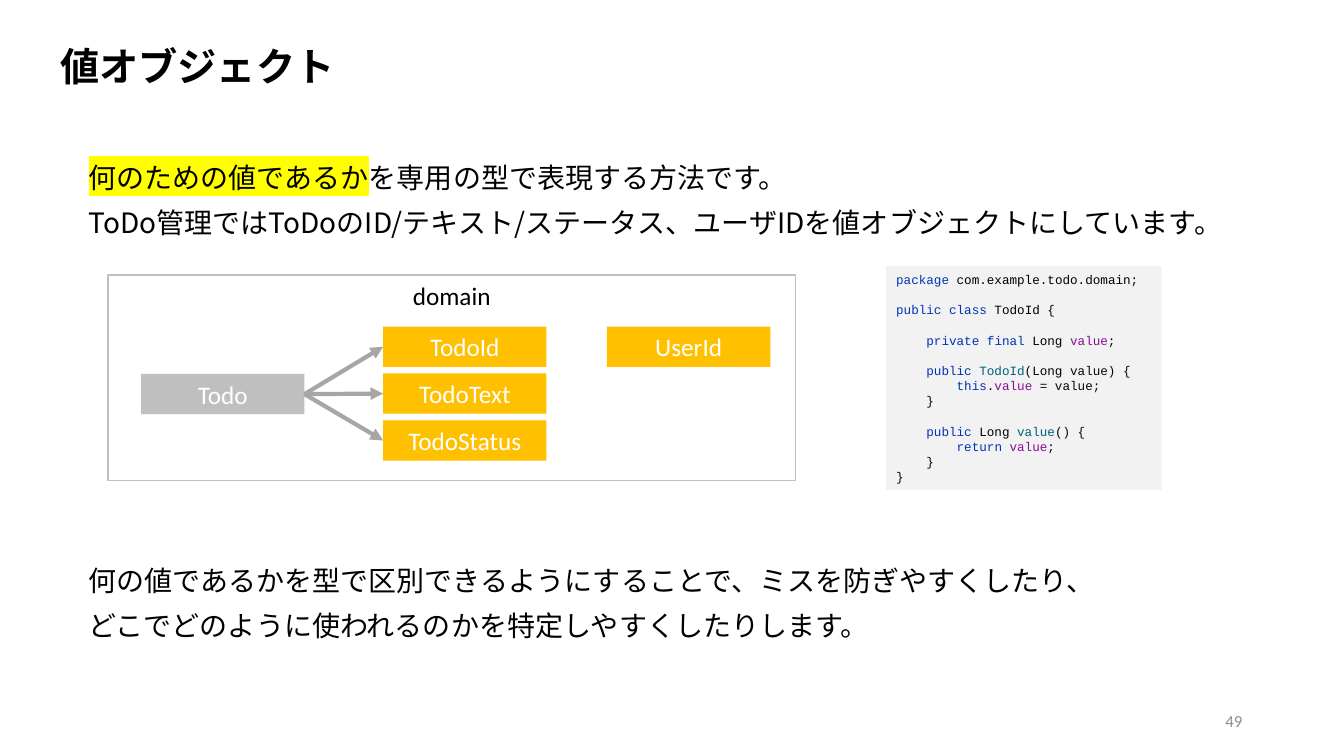
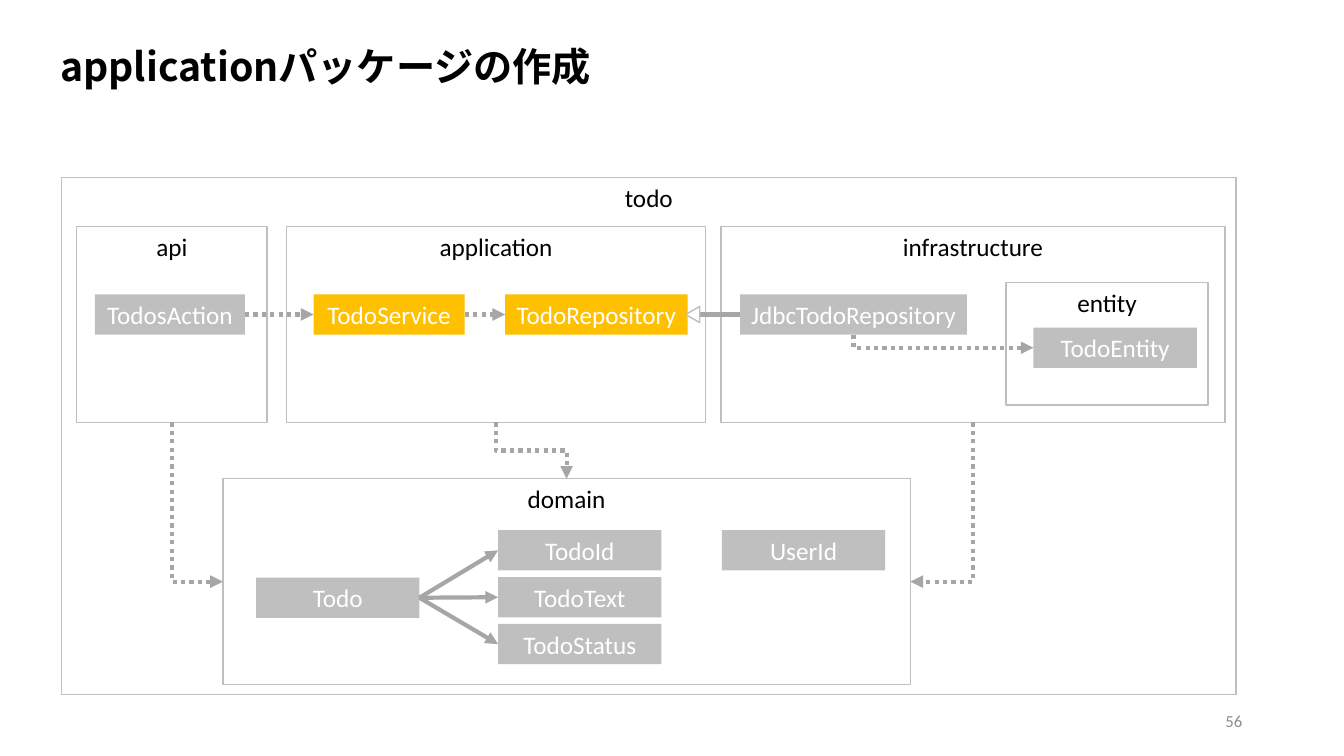
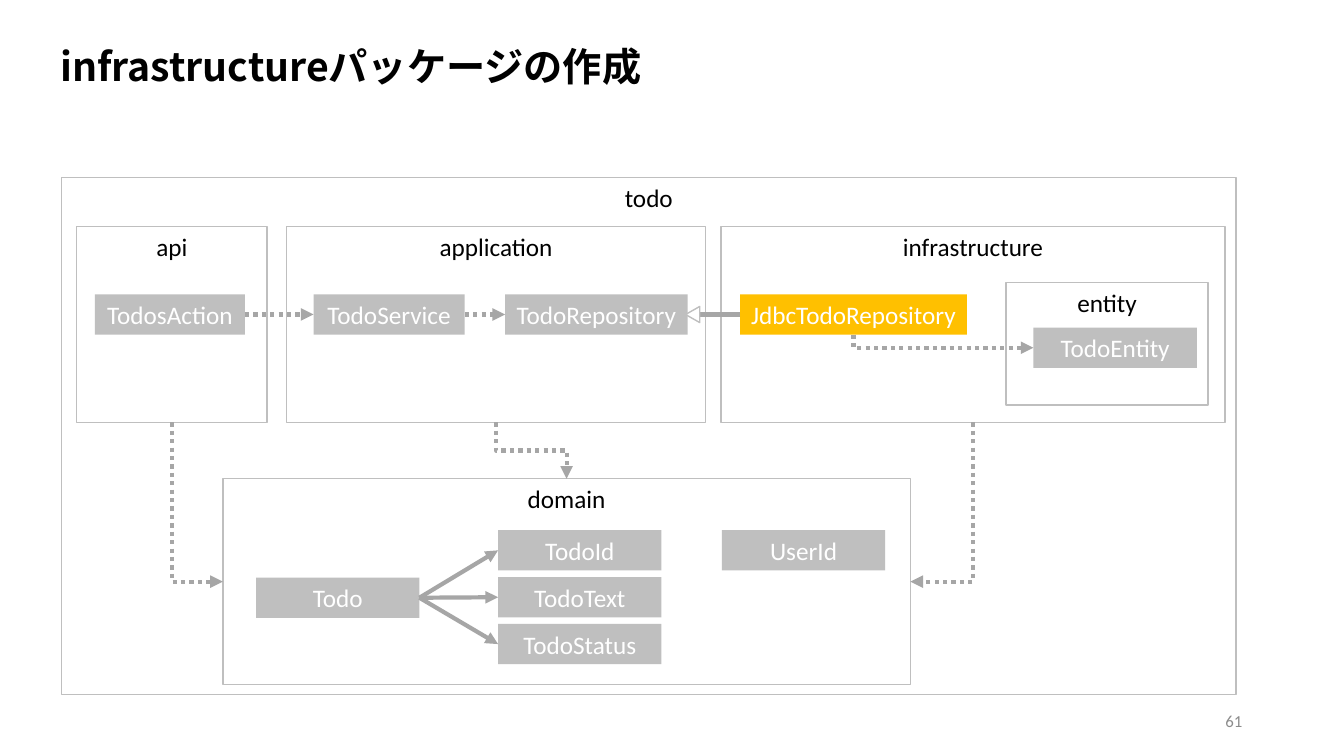
from dataclasses import dataclass

from lxml import etree
from pptx import Presentation
from pptx.dml.color import RGBColor
from pptx.enum.dml import MSO_LINE
from pptx.enum.shapes import MSO_CONNECTOR, MSO_SHAPE
from pptx.enum.text import MSO_ANCHOR, PP_ALIGN
from pptx.oxml.ns import qn
from pptx.util import Inches, Pt

RECT, TRIANGLE = MSO_SHAPE.RECTANGLE, MSO_SHAPE.ISOSCELES_TRIANGLE
STRAIGHT, ELBOW = MSO_CONNECTOR.STRAIGHT, MSO_CONNECTOR.ELBOW
LEFT, CENTER, RIGHT = PP_ALIGN.LEFT, PP_ALIGN.CENTER, PP_ALIGN.RIGHT
TOP, MIDDLE = MSO_ANCHOR.TOP, MSO_ANCHOR.MIDDLE
DOTS = MSO_LINE.ROUND_DOT
WEST, SOUTH, EAST, NORTH = 1, 2, 3, 0


@dataclass(frozen=True)
class Theme:
    black: str = "000000"
    white: str = "FFFFFF"
    gray: str = "BFBFBF"
    arrow: str = "A6A6A6"
    gold: str = "FFC000"
    mark: str = "FFFF00"
    panel: str = "F2F2F2"
    muted: str = "8C8C8C"
    word: str = "0033B3"
    sign: str = "080808"
    field: str = "871094"
    call: str = "00627A"
    sans: str = "Calibri"
    kana: str = "Noto Sans CJK JP"
    mono: str = "Courier New"
    head: int = 28
    body: int = 20
    label: int = 18
    page: int = 12
    code: int = 9
    lead: int = 32


T = Theme()
TITLE = {"name": T.kana, "size": Pt(T.head), "bold": True, "color": T.black}
BODY = {"name": T.kana, "size": Pt(T.body), "color": T.black}
PAGE = {"name": T.sans, "size": Pt(T.page), "color": T.muted}
LABEL = {"name": T.sans, "size": Pt(T.label), "color": T.black}
NODE = {**LABEL, "color": T.white}
CODE = {"name": T.mono, "size": Pt(T.code)}

KINDS = {"k": T.word, "n": T.black, "s": T.sign, "f": T.field, "c": T.call}
SOURCE = (
    (("k", "package "), ("n", "com.example.todo.domain"), ("s", ";")),
    (),
    (("k", "public class "), ("n", "TodoId "), ("s", "{")),
    (),
    (("k", "    private final "), ("n", "Long "), ("f", "value"), ("s", ";")),
    (),
    (("k", "    public "), ("c", "TodoId"), ("s", "("), ("n", "Long "), ("s", "value) {")),
    (("k", "        this"), ("s", "."), ("f", "value "), ("s", "= value;")),
    (("s", "    }"),),
    (),
    (("k", "    public "), ("n", "Long "), ("c", "value"), ("s", "() {")),
    (("k", "        return "), ("f", "value"), ("s", ";")),
    (("s", "    }"),),
    (("s", "}"),),
)

PROSE = (
    (0, (("何のための値であるか", T.mark), ("を専用の型で表現する方法です。", None))),
    (0, (("ToDo管理ではToDoのID/テキスト/ステータス、ユーザIDを値オブジェクトにしています。", None),)),
    (7, (("何の値であるかを型で区別できるようにすることで、ミスを防ぎやすくしたり、", None),)),
    (0, (("どこでどのように使われるのかを特定しやすくしたりします。", None),)),
)

FRAMES = (
    ("api", 0.15, 0.49, 1.89, 1.94),
    ("application", 2.23, 0.49, 4.16, 1.94),
    ("infrastructure", 6.54, 0.49, 5, 1.94),
    ("entity", 9.37, 1.04, 2, 1.22),
)
PARTS = (
    ("TodosAction", 0.33, 1.16, 1.49),
    ("TodoService", 2.5, 1.16, 1.5),
    ("TodoRepository", 4.4, 1.16, 1.81),
    ("JdbcTodoRepository", 6.73, 1.16, 2.25),
    ("TodoEntity", 9.64, 1.49, 1.62),
)
VALUES = ("TodoId", "TodoText", "TodoStatus")


def place(x, y, w, h):
    return [Inches(v) for v in (x, y, w, h)]


def write(para, text, style):
    run = para.add_run()
    run.text = text
    for key, value in style.items():
        if key == "color":
            run.font.color.rgb = RGBColor.from_string(value)
        else:
            setattr(run.font, key, value)
    etree.SubElement(run._r.rPr, qn("a:ea"), typeface=style["name"])
    return run


def shade(run, color):
    mark = etree.Element(qn("a:highlight"))
    etree.SubElement(mark, qn("a:srgbClr"), val=color)
    run._r.rPr.find(qn("a:solidFill")).addnext(mark)


def setup(frame, anchor, align, wrap=True):
    for key, value in {"word_wrap": wrap, "vertical_anchor": anchor}.items():
        setattr(frame, key, value)
    para = frame.paragraphs[0]
    para.alignment = align
    return para


def note(slide, box, text, style, anchor=TOP, align=LEFT):
    frame = slide.shapes.add_textbox(*place(*box)).text_frame
    write(setup(frame, anchor, align), text, style)


def block(slide, box, fill=None, line=None, kind=RECT):
    shape = slide.shapes.add_shape(kind, *place(*box))
    shape.shadow.inherit = False
    if fill:
        shape.fill.solid()
        shape.fill.fore_color.rgb = RGBColor.from_string(fill)
    else:
        shape.fill.background()
    if line:
        shape.line.color.rgb = RGBColor.from_string(line)
        shape.line.width = Pt(1)
    else:
        shape.line.fill.background()
    return shape


def frame(slide, text, *box):
    shape = block(slide, box, line=T.gray)
    write(setup(shape.text_frame, TOP, CENTER), text, LABEL)
    return shape


def node(slide, text, x, y, w=1.62, hot=()):
    shape = block(slide, (x, y, w, 0.4), T.gold if text in hot else T.gray)
    write(setup(shape.text_frame, MIDDLE, CENTER, False), text, NODE)
    return shape


def link(slide, start, out, end, into, dots=False, tip=True, bend=None):
    line = slide.shapes.add_connector(ELBOW if bend else STRAIGHT, 0, 0, 0, 0)
    line.begin_connect(start, out)
    line.end_connect(end, into)
    line.line.color.rgb = RGBColor.from_string(T.arrow)
    line.line.width = Pt(3)
    if dots:
        line.line.dash_style = DOTS
    props = line._element.spPr
    if tip:
        etree.SubElement(props.find(qn("a:ln")), qn("a:tailEnd"), type="triangle")
    etree.SubElement(props, qn("a:effectLst"))
    if bend:
        turn(line, bend)


def turn(line, bend):
    dx, dy = line.end_x - line.begin_x, line.end_y - line.begin_y
    mid_x, mid_y = line.begin_x + dx // 2, line.begin_y + dy // 2
    wide, high = abs(dy), abs(dx)
    spots = {"left": mid_x - wide // 2, "top": mid_y - high // 2,
             "width": wide, "height": high}
    for key, value in spots.items():
        setattr(line, key, value)
    props = line._element.spPr
    props.find(qn("a:prstGeom")).set("prst", bend)
    form = props.find(qn("a:xfrm"))
    for key in ("flipH", "flipV"):
        form.attrib.pop(key, None)
    form.set("rot", str((270 if dx > 0 else 90) * 60000))
    if dx > 0:
        form.set("flipH", "1")


def domain(slide, x, y, hot=()):
    box = frame(slide, "domain", x, y, 6.82, 2.04)
    todo = node(slide, "Todo", x + 0.33, y + 0.98, hot=hot)
    node(slide, "UserId", x + 4.95, y + 0.51, hot=hot)
    for i, name in enumerate(VALUES):
        item = node(slide, name, x + 2.73, y + 0.51 + 0.465 * i, hot=hot)
        link(slide, todo, EAST, item, WEST)
    return box


def system(slide, x, y, hot):
    frame(slide, "todo", x, y, 11.65, 5.13)
    api, app, infra, _ = [
        frame(slide, name, x + dx, y + dy, w, h) for name, dx, dy, w, h in FRAMES]
    action, service, store, jdbc, entity = [
        node(slide, name, x + dx, y + dy, w, hot) for name, dx, dy, w in PARTS]
    core = domain(slide, x + 1.6, y + 2.99, hot)
    link(slide, action, EAST, service, WEST, dots=True)
    link(slide, service, EAST, store, WEST, dots=True)
    for start, end, into, bend in (
        (jdbc, entity, WEST, "bentConnector2"),
        (infra, core, EAST, "bentConnector2"),
        (app, core, NORTH, "bentConnector3"),
        (api, core, WEST, "bentConnector2"),
    ):
        link(slide, start, SOUTH, end, into, dots=True, bend=bend)
    link(slide, jdbc, WEST, store, EAST, tip=False)
    head = block(slide, (x + 6.18, y + 1.29, 0.16, 0.14), T.white, T.gray, TRIANGLE)
    head.rotation = 270


def prose(slide, *box):
    body = slide.shapes.add_textbox(*place(*box)).text_frame
    para = setup(body, TOP, LEFT)
    for i, (gap, runs) in enumerate(PROSE):
        if i:
            para = body.add_paragraph()
        para.line_spacing = Pt(T.lead)
        if gap:
            para.space_before = Pt(gap * T.lead)
        for text, mark in runs:
            run = write(para, text, BODY)
            if mark:
                shade(run, mark)


def listing(slide, *box):
    panel = block(slide, box, T.panel)
    para = setup(panel.text_frame, MIDDLE, LEFT)
    for i, row in enumerate(SOURCE):
        if i:
            para.add_line_break()
        for kind, text in row:
            write(para, text, {**CODE, "color": KINDS[kind]})
    for gap in para._p.findall(qn("a:br")):
        props = etree.SubElement(gap, qn("a:rPr"), sz=str(T.code * 100))
        etree.SubElement(props, qn("a:latin"), typeface=T.mono)


def page(deck, title, number):
    slide = deck.slides.add_slide(deck.slide_layouts[6])
    note(slide, (0.5, 0.37, 9.87, 0.57), title, TITLE)
    note(slide, (9.42, 6.95, 3, 0.4), number, PAGE, MIDDLE, RIGHT)
    return slide


def main():
    deck = Presentation()
    deck.slide_width, deck.slide_height = Inches(13.33), Inches(7.5)
    slide = page(deck, "値オブジェクト", "49")
    prose(slide, 0.78, 1.43, 12, 4.98)
    domain(slide, 1.07, 2.73, (*VALUES, "UserId"))
    listing(slide, 8.79, 2.64, 2.73, 2.22)
    for title, number, hot in (
        ("applicationパッケージの作成", "56", ("TodoService", "TodoRepository")),
        ("infrastructureパッケージの作成", "61", ("JdbcTodoRepository",)),
    ):
        system(page(deck, title, number), 0.61, 1.76, hot)
    deck.save("out.pptx")


if __name__ == "__main__":
    main()
